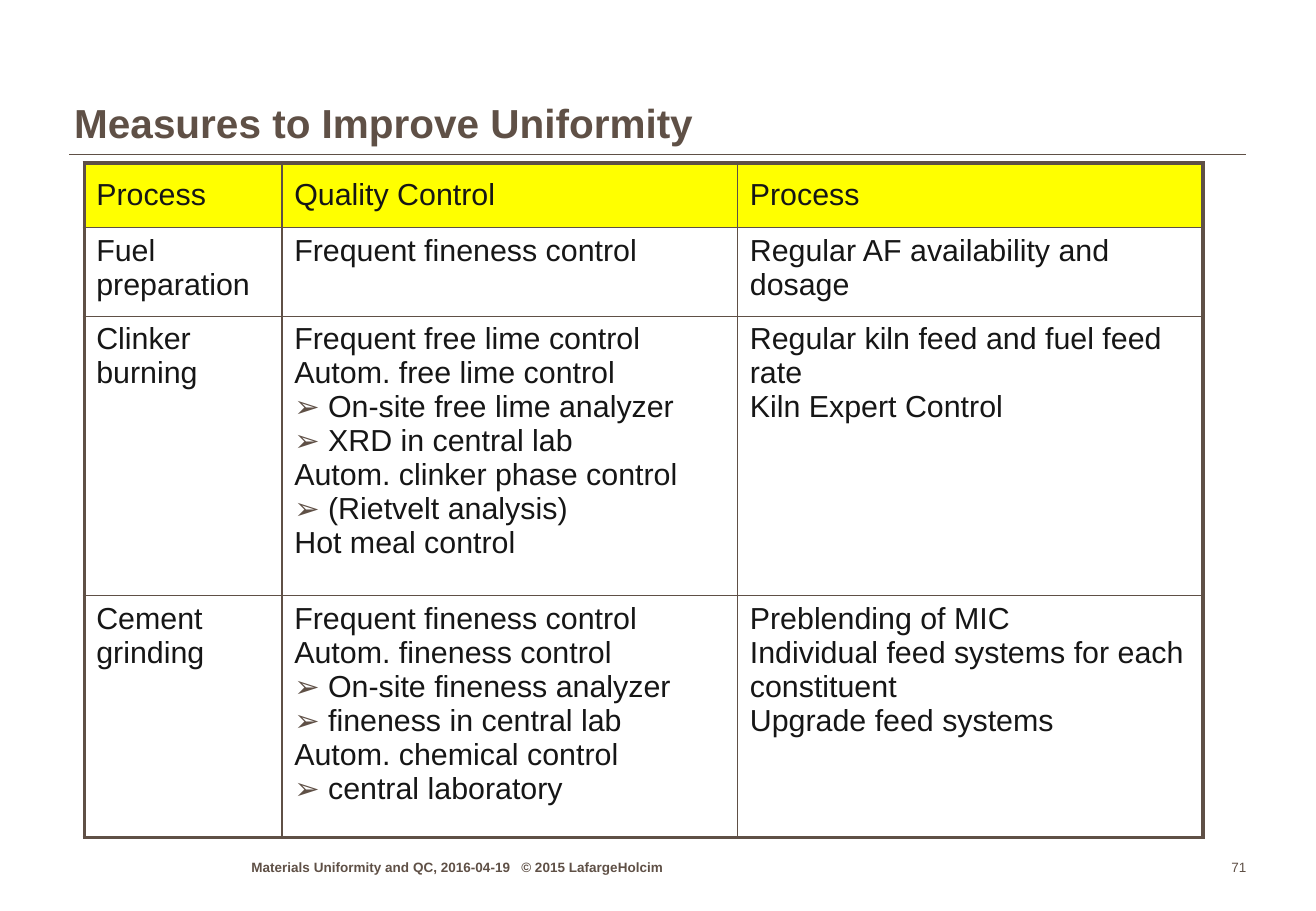
from lxml.etree import SubElement
from pptx import Presentation
from pptx.dml.color import RGBColor
from pptx.enum.text import MSO_ANCHOR, PP_ALIGN
from pptx.oxml.ns import qn
from pptx.util import Pt

COLORS = {"brown": "5F5046", "ink": "161616", "head": "FFFF00", "paper": "FFFFFF"}
FONT = "Arial"
MARK = "➢"

ROWS = [
    (["Process"], ["Quality Control"], ["Process"]),
    (["Fuel preparation"], ["Frequent fineness control"],
     ["Regular AF availability and dosage"]),
    (["Clinker burning"],
     ["Frequent free lime control", "Autom. free lime control",
      "➢On-site free lime analyzer", "➢XRD in central lab",
      "Autom. clinker phase control", "➢(Rietvelt analysis)", "Hot meal control"],
     ["Regular kiln feed and fuel feed rate", "Kiln Expert Control"]),
    (["Cement grinding"],
     ["Frequent fineness control Autom. fineness control",
      "➢On-site fineness analyzer", "➢fineness in central lab",
      "Autom. chemical control", "➢central laboratory"],
     ["Preblending of MIC", "Individual feed systems for each constituent",
      "Upgrade feed systems"]),
]
WIDTHS = [117.4, 270, 275.8]
HEIGHTS = [38.2, 52.6, 165.6, 143.3]


class Page:
    def __init__(self, slide):
        self.slide = slide

    def color(self, name):
        return RGBColor.from_string(COLORS[name])

    def run(self, para, text, size, color, bold=False):
        run = para.add_run()
        run.text = text
        font = run.font
        font.name, font.size, font.bold = FONT, Pt(size), bold
        font.color.rgb = self.color(color)

    def frame(self, shape, foot=0):
        """Strip the insets of a shape and anchor its text at the bottom."""
        frame = shape.text_frame
        frame.word_wrap = True
        frame.margin_left = frame.margin_right = frame.margin_top = 0
        frame.margin_bottom = Pt(foot)
        frame.vertical_anchor = MSO_ANCHOR.BOTTOM
        return frame.paragraphs[0]

    def title(self, text, left, top, width, height):
        shape = self.slide.shapes.title
        shape.left, shape.top = Pt(left), Pt(top)
        shape.width, shape.height = Pt(width), Pt(height)
        para = self.frame(shape, 0.7)
        para.alignment = PP_ALIGN.LEFT
        para.line_spacing = 0.95
        self.run(para, text, 24, "brown", True)

    def label(self, text, left, top, width, height,
              bold=False, align=PP_ALIGN.LEFT, tab=None):
        box = self.slide.shapes.add_textbox(Pt(left), Pt(top), Pt(width), Pt(height))
        para = self.frame(box)
        para.alignment = align
        if tab:
            tabs = SubElement(para._p.get_or_add_pPr(), qn("a:tabLst"))
            SubElement(tabs, qn("a:tab"), pos=str(Pt(tab)), algn="l")
        self.run(para, text, 8, "brown", bold)

    def rule(self, left, right, top):
        line = self.slide.shapes.add_connector(1, Pt(left), Pt(top), Pt(right), Pt(top))
        line.line.width = Pt(1)
        line.line.color.rgb = self.color("brown")
        SubElement(line._element.spPr, qn("a:effectLst"))

    def bullet(self, para):
        props = para._p.get_or_add_pPr()
        props.set("marL", str(Pt(20)))
        props.set("indent", str(Pt(-20)))
        tint = SubElement(props, qn("a:buClr"))
        SubElement(tint, qn("a:srgbClr"), val=COLORS["brown"])
        SubElement(props, qn("a:buFont"), typeface=FONT)
        SubElement(props, qn("a:buChar"), char=MARK)

    def edges(self, cell, outer):
        """Draw the four borders, thick on the sides flagged as outer."""
        props = cell._tc.get_or_add_tcPr()
        for side, thick in zip("LRTB", outer):
            line = SubElement(props, qn("a:ln" + side), w=str(Pt(2.25 if thick else 1)))
            fill = SubElement(line, qn("a:solidFill"))
            SubElement(fill, qn("a:srgbClr"), val=COLORS["brown"])

    def cell(self, cell, lines, head):
        cell.vertical_anchor = MSO_ANCHOR.MIDDLE if head else MSO_ANCHOR.TOP
        cell.margin_left = cell.margin_right = Pt(7.2)
        cell.margin_top = cell.margin_bottom = Pt(3.6)
        cell.fill.solid()
        cell.fill.fore_color.rgb = self.color("head" if head else "paper")
        frame = cell.text_frame
        for i, text in enumerate(lines):
            para = frame.add_paragraph() if i else frame.paragraphs[0]
            if text.startswith(MARK):
                self.bullet(para)
            self.run(para, text.removeprefix(MARK), 18, "ink")

    def table(self, rows, left, top, widths, heights):
        grid = self.slide.shapes.add_table(
            len(rows), len(widths), Pt(left), Pt(top),
            Pt(sum(widths)), Pt(sum(heights))).table
        grid.first_row = grid.horz_banding = False
        for col, width in zip(grid.columns, widths):
            col.width = Pt(width)
        for r, (row, height) in enumerate(zip(rows, heights)):
            grid.rows[r].height = Pt(height)
            for c, lines in enumerate(row):
                cell = grid.cell(r, c)
                self.edges(cell, (c == 0, c == len(widths) - 1,
                                  r == 0, r == len(rows) - 1))
                self.cell(cell, lines, r == 0)


def main():
    deck = Presentation()
    deck.slide_width, deck.slide_height = Pt(780), Pt(540)
    page = Page(deck.slides.add_slide(deck.slide_layouts[5]))
    page.rule(41, 738.7, 91.7)
    page.title("Measures to Improve Uniformity", 44, 26, 691, 62.6)
    page.table(ROWS, 49.9, 96.7, WIDTHS, HEIGHTS)
    page.label("Materials Uniformity and QC, 2016-04-19\t© 2015 LafargeHolcim",
               149, 505.5, 250, 13, bold=True, tab=160)
    page.label("71", 705, 505.5, 33.7, 13, align=PP_ALIGN.RIGHT)
    deck.save("out.pptx")


if __name__ == "__main__":
    main()
